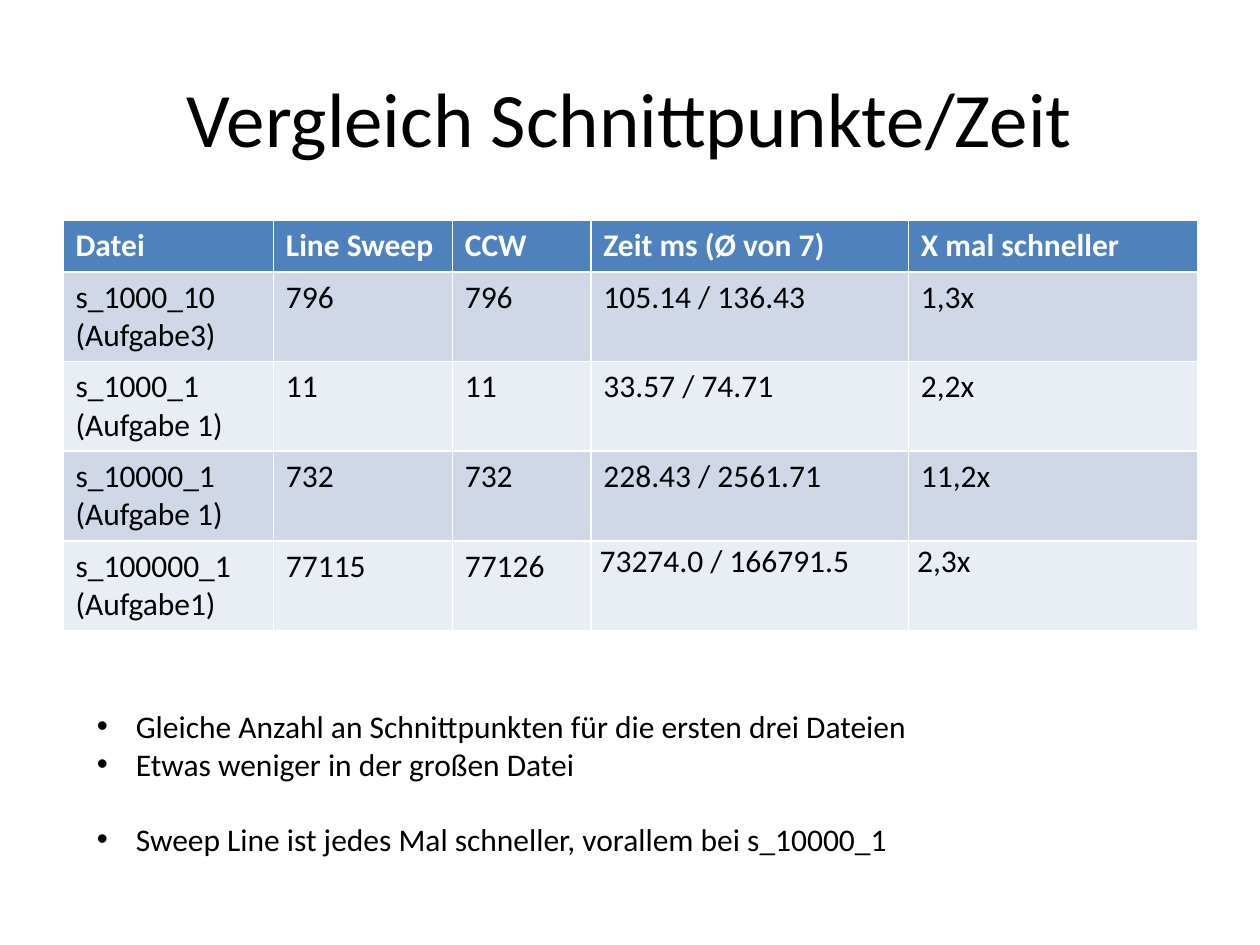
from lxml import etree
from pptx import Presentation
from pptx.dml.color import RGBColor
from pptx.enum.text import MSO_ANCHOR, MSO_AUTO_SIZE, PP_ALIGN
from pptx.oxml.ns import qn
from pptx.util import Inches, Pt

FONT = "Calibri"
BLACK = RGBColor(0x00, 0x00, 0x00)
WHITE = RGBColor(0xFF, 0xFF, 0xFF)
HEADER_BLUE = RGBColor(0x4F, 0x81, 0xBD)
BANDS = (RGBColor(0xD0, 0xD8, 0xE8), RGBColor(0xE9, 0xED, 0xF4))

TITLE = "Vergleich Schnittpunkte/Zeit"
ROWS = [
    ("Datei", "Line Sweep", "CCW", "Zeit ms (Ø von 7)", "X mal schneller"),
    ("s_1000_10 (Aufgabe3)", "796", "796", "105.14 / 136.43", "1,3x"),
    ("s_1000_1 (Aufgabe 1)", "11", "11", "33.57 / 74.71", "2,2x"),
    ("s_10000_1 (Aufgabe 1)", "732", "732", "228.43 / 2561.71", "11,2x"),
    ("s_100000_1\n(Aufgabe1)", "77115", "77126", "73274.0 / 166791.5", "2,3x"),
]
COLUMN_WIDTHS = (1.67, 1.42, 1.1, 2.52, 2.3)
HEADER_HEIGHT, ROW_HEIGHT = 0.41, 0.7
TIGHT_CELLS = {(4, 3), (4, 4)}

# Text and space before it in points
FINDINGS = [
    ("Gleiche Anzahl an Schnittpunkten für die ersten drei Dateien", 0),
    ("Etwas weniger in der großen Datei", 0),
    ("Sweep Line ist jedes Mal schneller, vorallem bei s_10000_1", 21.6),
]
BULLET_INDENT = Inches(0.31)


def format_runs(text_frame, size, color, bold=False):
    for para in text_frame.paragraphs:
        for span in para.runs:
            span.font.name = FONT
            span.font.size = Pt(size)
            span.font.bold = bold
            span.font.color.rgb = color


def add_title(page):
    title = page.shapes.title
    title.left, title.top = Inches(0.5), Inches(0.3)
    title.width, title.height = Inches(9), Inches(1.25)
    frame = title.text_frame
    frame.text = TITLE
    frame.vertical_anchor = MSO_ANCHOR.MIDDLE
    frame.paragraphs[0].alignment = PP_ALIGN.CENTER
    format_runs(frame, 44, BLACK)


def add_comparison_table(page):
    height = HEADER_HEIGHT + ROW_HEIGHT * (len(ROWS) - 1)
    table = page.shapes.add_table(
        len(ROWS), len(COLUMN_WIDTHS), Inches(0.5), Inches(1.75),
        Inches(sum(COLUMN_WIDTHS)), Inches(height)).table
    for column, width in zip(table.columns, COLUMN_WIDTHS):
        column.width = Inches(width)
    for r, values in enumerate(ROWS):
        is_header = r == 0
        table.rows[r].height = Inches(HEADER_HEIGHT if is_header else ROW_HEIGHT)
        for c, value in enumerate(values):
            cell = table.cell(r, c)
            cell.text_frame.text = value
            cell.fill.solid()
            cell.fill.fore_color.rgb = HEADER_BLUE if is_header else BANDS[(r - 1) % 2]
            format_runs(cell.text_frame, 18, WHITE if is_header else BLACK, is_header)
            if (r, c) in TIGHT_CELLS:
                cell.margin_left = Inches(0.07)
                cell.margin_top = cell.margin_right = Inches(0.01)
                cell.margin_bottom = 0


def add_bullet(para):
    properties = para._p.get_or_add_pPr()
    properties.set("marL", str(BULLET_INDENT))
    properties.set("indent", str(-BULLET_INDENT))
    etree.SubElement(properties, qn("a:buFont"), typeface="Arial")
    etree.SubElement(properties, qn("a:buChar"), char="•")


def add_findings(page):
    box = page.shapes.add_textbox(Inches(0.67), Inches(5.56), Inches(6.72), Inches(1.31))
    frame = box.text_frame
    frame.word_wrap = False
    frame.auto_size = MSO_AUTO_SIZE.SHAPE_TO_FIT_TEXT
    frame.text = "\n".join(text for text, _ in FINDINGS)
    for para, (_, gap) in zip(frame.paragraphs, FINDINGS):
        para.space_before = Pt(gap)
        add_bullet(para)
    format_runs(frame, 18, BLACK)


def main():
    deck = Presentation()
    deck.slide_width, deck.slide_height = Inches(10), Inches(7.5)
    page = deck.slides.add_slide(deck.slide_layouts[5])
    add_title(page)
    add_comparison_table(page)
    add_findings(page)
    deck.save("out.pptx")


if __name__ == "__main__":
    main()
